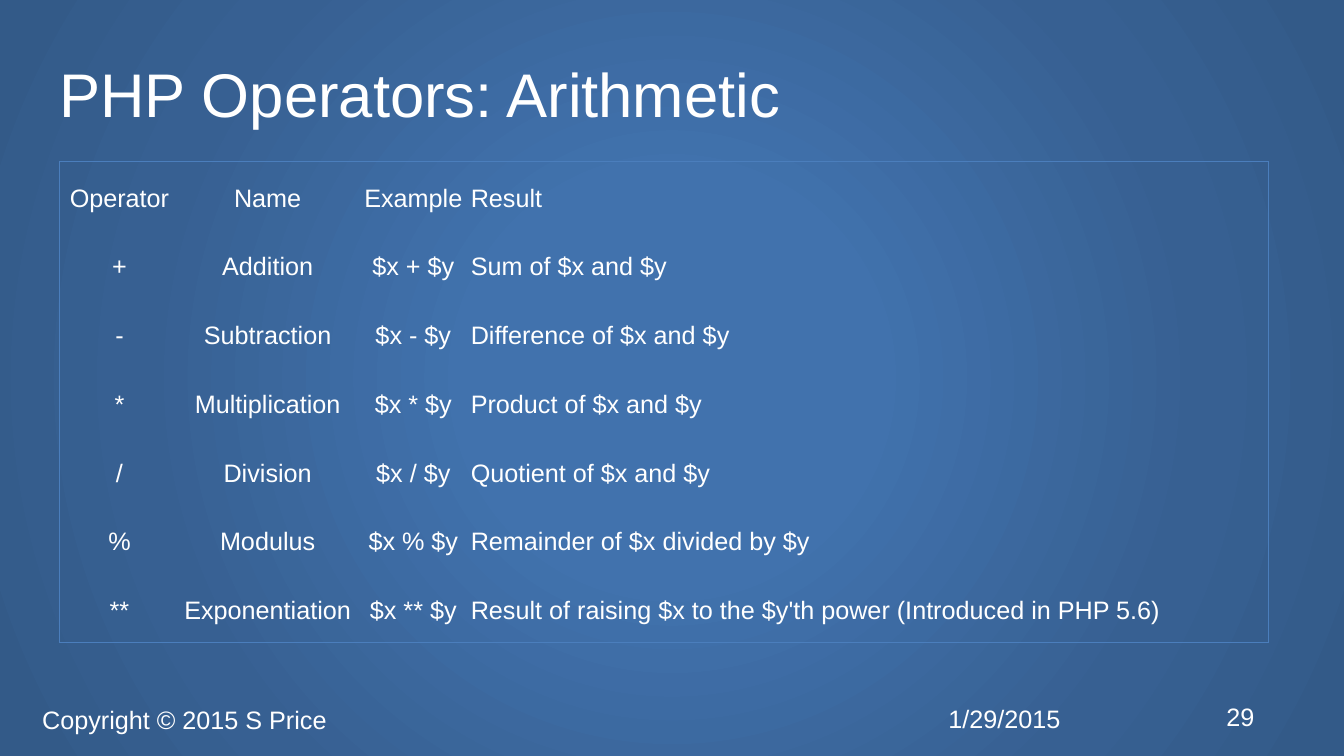
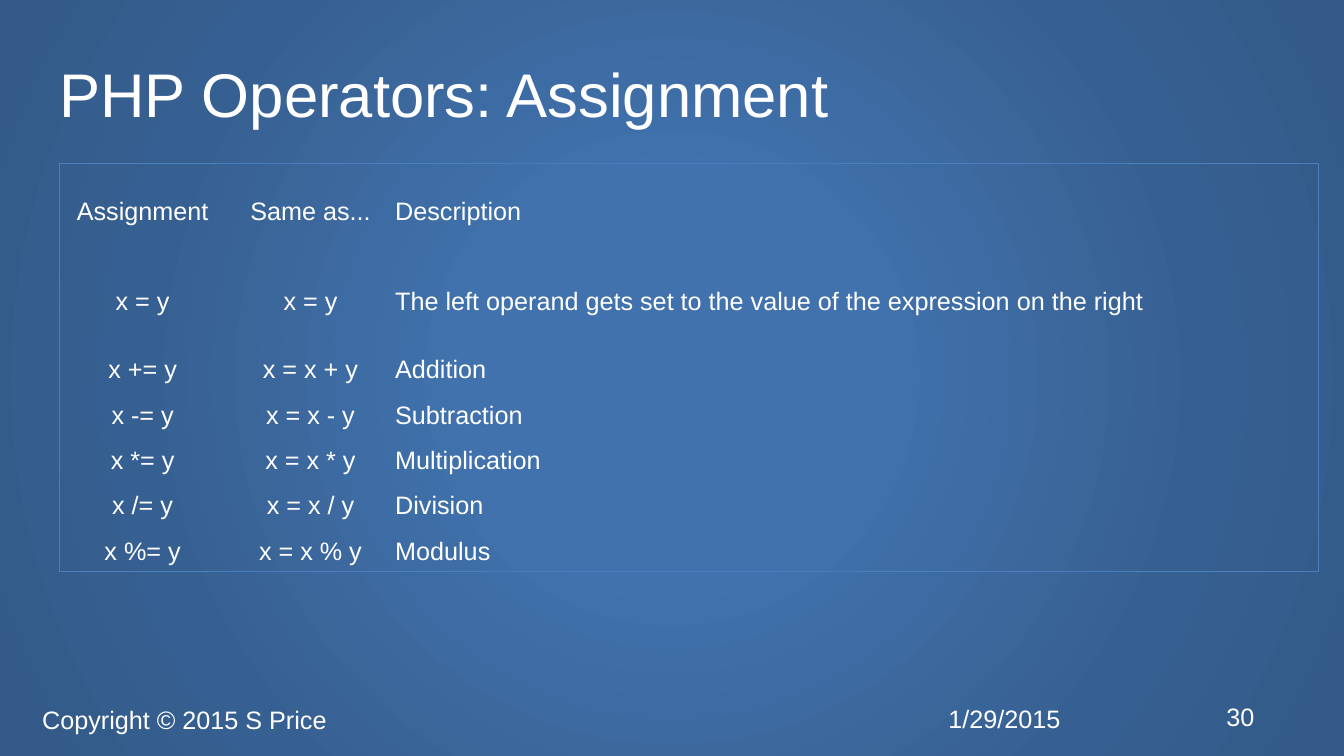
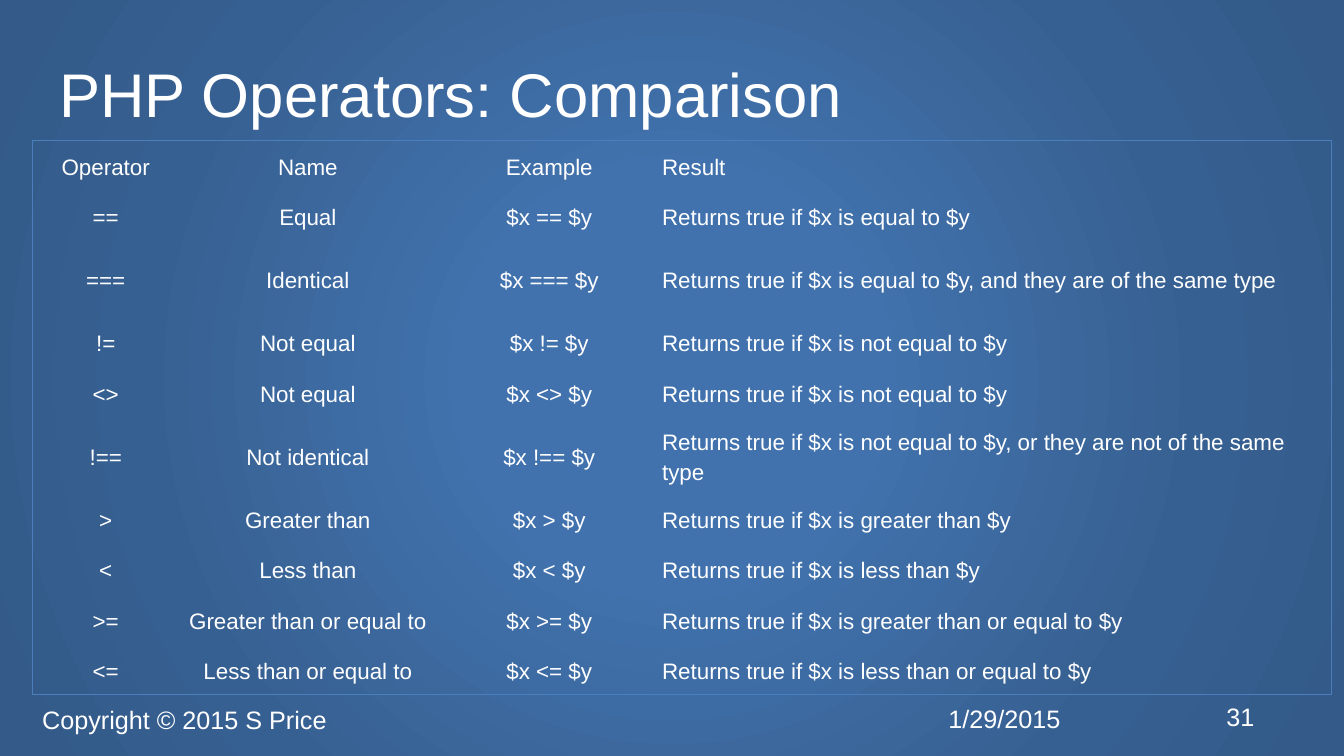
from pptx import Presentation
from pptx.dml.color import RGBColor
from pptx.enum.text import MSO_ANCHOR, PP_ALIGN
from pptx.oxml import parse_xml
from pptx.oxml.ns import nsdecls
from pptx.util import Pt

# Shared look
FONT, WHITE, EDGE = "Arial", "FFFFFF", "4B7EBC"
STOPS = [(0, "4172AD"), (26, "4172AD"), (69, "376092"), (97, "335A88")]
FIRST = 29
TITLE = (42.5, 24.5, 864, 90)
DATE = ("1/29/2015", (670.3, 498.2, 126, 29.5))
RIGHTS = ("Copyright © 2015 S Price", (23, 499, 647.3, 29.5))
NUMBER = (869, 496.8, 43.2, 29.5)

# Content: the last column of each table is left-aligned, the others centred
SLIDES = [
    dict(
        title="PHP Operators: Arithmetic", at=(42.5, 115.2), size=18,
        cols=[85.7, 126, 82.1, 569.5], row=49.1, tall={},
        rows=[
            ("Operator", "Name", "Example", "Result"),
            ("+", "Addition", "$x + $y", "Sum of $x and $y"),
            ("-", "Subtraction", "$x - $y", "Difference of $x and $y"),
            ("*", "Multiplication", "$x * $y", "Product of $x and $y"),
            ("/", "Division", "$x / $y", "Quotient of $x and $y"),
            ("%", "Modulus", "$x % $y", "Remainder of $x divided by $y"),
            ("**", "Exponentiation", "$x ** $y",
             "Result of raising $x to the $y'th power (Introduced in PHP 5.6)"),
        ]),
    dict(
        title="PHP Operators: Assignment", at=(42.5, 116.6), size=18,
        cols=[118.8, 121, 659.5], row=32.4, tall={0: 64.8, 1: 64.8},
        rows=[
            ("Assignment", "Same as...", "Description"),
            ("x = y", "x = y",
             "The left operand gets set to the value of the expression on the right"),
            ("x += y", "x = x + y", "Addition"),
            ("x -= y", "x = x - y", "Subtraction"),
            ("x *= y", "x = x * y", "Multiplication"),
            ("x /= y", "x = x / y", "Division"),
            ("x %= y", "x = x % y", "Modulus"),
        ]),
    dict(
        title="PHP Operators: Comparison", at=(23, 100.1), size=16,
        cols=[105.1, 183.6, 161.3, 478.1], row=36, tall={2: 54, 5: 54},
        rows=[
            ("Operator", "Name", "Example", "Result"),
            ("==", "Equal", "$x == $y", "Returns true if $x is equal to $y"),
            ("===", "Identical", "$x === $y",
             "Returns true if $x is equal to $y, and they are of the same type"),
            ("!=", "Not equal", "$x != $y", "Returns true if $x is not equal to $y"),
            ("<>", "Not equal", "$x <> $y", "Returns true if $x is not equal to $y"),
            ("!==", "Not identical", "$x !== $y",
             "Returns true if $x is not equal to $y, or they are not of the same type"),
            (">", "Greater than", "$x > $y", "Returns true if $x is greater than $y"),
            ("<", "Less than", "$x < $y", "Returns true if $x is less than $y"),
            (">=", "Greater than or equal to", "$x >= $y",
             "Returns true if $x is greater than or equal to $y"),
            ("<=", "Less than or equal to", "$x <= $y",
             "Returns true if $x is less than or equal to $y"),
        ]),
]


def color(code):
    return RGBColor.from_string(code)


def write(frame, words, size, align=PP_ALIGN.LEFT, lead=None):
    para = frame.paragraphs[0]
    para.alignment = align
    para.line_spacing = lead
    run = para.add_run()
    run.text = words
    run.font.name, run.font.size = FONT, Pt(size)
    run.font.color.rgb = color(WHITE)


def clear(item):
    """Take away the inner margins of a text frame or cell."""
    item.margin_left = item.margin_right = item.margin_top = item.margin_bottom = 0


def label(slide, words, box, size=18, lead=None):
    frame = slide.shapes.add_textbox(*map(Pt, box)).text_frame
    frame.word_wrap = True
    frame.vertical_anchor = MSO_ANCHOR.MIDDLE
    write(frame, words, size, lead=lead)
    return frame


def backdrop(master):
    """Give all slides the round gradient."""
    stops = "".join(f'<a:gs pos="{pos * 1000}"><a:srgbClr val="{code}"/></a:gs>'
                    for pos, code in STOPS)
    tree = master.element.cSld
    for old in tree.findall("{*}bg"):
        tree.remove(old)
    tree.insert(0, parse_xml(
        f'<p:bg {nsdecls("p", "a")}><p:bgPr><a:gradFill rotWithShape="1">'
        f'<a:gsLst>{stops}</a:gsLst><a:path path="circle">'
        '<a:fillToRect l="50000" t="50000" r="50000" b="50000"/></a:path>'
        '</a:gradFill><a:effectLst/></p:bgPr></p:bg>'))


def border(cell, sides):
    """Draw the named sides of a cell and leave the others empty."""
    props = cell._tc.get_or_add_tcPr()
    for place, side in enumerate("LRTB"):
        fill = (f'<a:solidFill><a:srgbClr val="{EDGE}"/></a:solidFill>'
                if side in sides else "<a:noFill/>")
        props.insert(place, parse_xml(
            f'<a:ln{side} {nsdecls("a")} w="9525">{fill}</a:ln{side}>'))


def grid(slide, data):
    rows, cols = data["rows"], data["cols"]
    highs = [data["tall"].get(i, data["row"]) for i in range(len(rows))]
    box = (*data["at"], sum(cols), sum(highs))
    table = slide.shapes.add_table(len(rows), len(cols), *map(Pt, box)).table
    table.first_row = table.horz_banding = False
    for col, wide in zip(table.columns, cols):
        col.width = Pt(wide)
    for row, high in zip(table.rows, highs):
        row.height = Pt(high)
    end, foot = len(cols) - 1, len(rows) - 1
    for i, line in enumerate(rows):
        for j, words in enumerate(line):
            cell = table.cell(i, j)
            clear(cell)
            cell.vertical_anchor = MSO_ANCHOR.MIDDLE
            cell.fill.background()
            outer = {"L": j == 0, "R": j == end, "T": i == 0, "B": i == foot}
            border(cell, [side for side, on in outer.items() if on])
            align = PP_ALIGN.LEFT if j == end else PP_ALIGN.CENTER
            write(cell.text_frame, words, data["size"], align, 1.2)


def main():
    deck = Presentation()
    deck.slide_width, deck.slide_height = Pt(960), Pt(540)
    backdrop(deck.slide_master)
    for number, data in enumerate(SLIDES, FIRST):
        slide = deck.slides.add_slide(deck.slide_layouts[6])
        clear(label(slide, data["title"], TITLE, 44, 0.9))
        for words, box in (DATE, RIGHTS, (str(number), NUMBER)):
            label(slide, words, box)
        grid(slide, data)
    deck.save("out.pptx")


if __name__ == "__main__":
    main()
